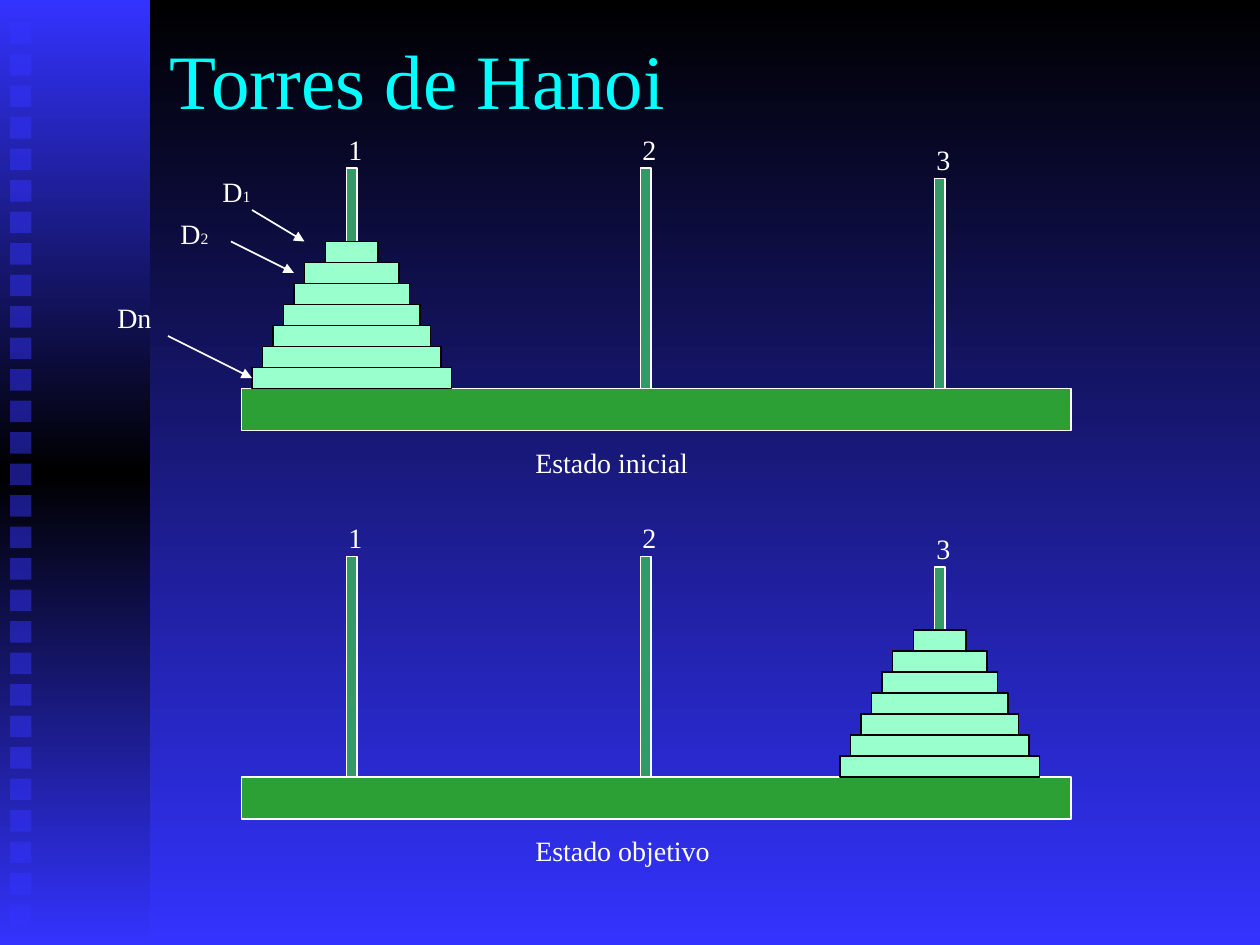
from copy import deepcopy

from lxml import etree
from pptx import Presentation
from pptx.dml.color import RGBColor
from pptx.enum.shapes import MSO_CONNECTOR, MSO_SHAPE
from pptx.enum.text import MSO_ANCHOR
from pptx.oxml.ns import qn
from pptx.util import Inches, Pt

RECTANGLE = MSO_SHAPE.RECTANGLE
STRAIGHT = MSO_CONNECTOR.STRAIGHT
MIDDLE = MSO_ANCHOR.MIDDLE

FONT = "Times New Roman"
COLORS = {
    "black": "000000",
    "blue": "3333FF",
    "title": "00FFFF",
    "white": "FFFFFF",
    "base": "2CA034",
    "peg": "339966",
    "disc": "99FFCC",
}

TITLE = "Torres de Hanoi"
STATES = [
    {"caption": "Estado inicial", "caption_width": 1.42, "base_top": 37, "tower": 0},
    {"caption": "Estado objetivo", "caption_width": 1.59, "base_top": 74, "tower": 2},
]
# Positions below are in grid units of one twelfth of an inch.
PEGS = [("1", 33, 21), ("2", 61, 21), ("3", 89, 20)]
DISC_WIDTHS = [19, 17, 15, 13, 11, 9, 5]
DISC_HEIGHT = 2
BASE_LEFT, BASE_WIDTH, BASE_HEIGHT = 23, 79, 4
DISC_LABELS = [
    (("D", "1"), (20, 16), (24, 20), (29, 23)),
    (("D", "2"), (16, 20), (22, 23), (28, 26)),
    (("Dn",), (10, 28), (16, 32), (24, 36)),
]
SQUARE_COUNT, SQUARE_STEP = 29, 0.25


def grid(units):
    return units / 12


def color(name):
    return RGBColor.from_string(COLORS[name])


def fill_gradient(fill, names):
    fill.gradient_angle = 270
    for index, (stop, name) in enumerate(zip(fill.gradient_stops, names)):
        stop.position = index / (len(names) - 1)
        stop.color.rgb = color(name)


def add_rectangle(slide, left, top, width, height, fill=None, line=None):
    shape = slide.shapes.add_shape(
        RECTANGLE, Inches(left), Inches(top), Inches(width), Inches(height))
    shape.shadow.inherit = False
    if fill:
        shape.fill.solid()
        shape.fill.fore_color.rgb = color(fill)
    if line:
        shape.line.color.rgb = color(line)
        shape.line.width = Pt(1)
    else:
        shape.line.fill.background()
    return shape


def add_text(slide, parts, left, top, width, height=0.37, sizes=(16, 9),
             name="white", wrap=False):
    box = slide.shapes.add_textbox(
        Inches(left), Inches(top), Inches(width), Inches(height))
    box.text_frame.word_wrap = wrap
    paragraph = box.text_frame.paragraphs[0]
    for part, size in zip(parts, sizes):
        run = paragraph.add_run()
        run.text = part
        run.font.name = FONT
        run.font.size = Pt(size)
        run.font.color.rgb = color(name)
    return box


def add_arrow(slide, start, end):
    points = [Inches(grid(units)) for units in start + end]
    arrow = slide.shapes.add_connector(STRAIGHT, *points)
    arrow.line.color.rgb = color("white")
    arrow.line.width = Pt(1)
    etree.SubElement(arrow.line._get_or_add_ln(), qn("a:tailEnd"), type="triangle")
    etree.SubElement(arrow._element.spPr, qn("a:effectLst"))
    return arrow


def add_sidebar(slide):
    sidebar = add_rectangle(slide, 0, 0, 1.19, 7.5)
    sidebar.fill.gradient()
    stops = sidebar._element.spPr.find(".//" + qn("a:gsLst"))
    stops.append(deepcopy(stops[0]))
    fill_gradient(sidebar.fill, ["blue", "black", "blue"])
    for index in range(SQUARE_COUNT):
        square = add_rectangle(
            slide, 0.08, 0.18 + index * SQUARE_STEP, 0.17, 0.17, "blue")
        square_color = square._element.spPr.find(".//" + qn("a:srgbClr"))
        etree.SubElement(square_color, qn("a:alpha"), val="50000")


def add_state(slide, state):
    base_top = state["base_top"]
    add_rectangle(slide, grid(BASE_LEFT), grid(base_top), grid(BASE_WIDTH),
                  grid(BASE_HEIGHT), "base", "white")
    add_text(slide, [state["caption"]], 4.15, grid(base_top) + 0.4,
             state["caption_width"])
    for label, left, height in PEGS:
        top = base_top - height
        add_rectangle(slide, grid(left), grid(top), grid(1), grid(height),
                      "peg", "white")
        add_text(slide, [label], grid(left - 1), grid(top - 4), 0.31)
    center = PEGS[state["tower"]][1] + 0.5
    return [
        add_rectangle(slide, grid(center - width / 2),
                      grid(base_top - DISC_HEIGHT * level),
                      grid(width), grid(DISC_HEIGHT), "disc", "black")
        for level, width in enumerate(DISC_WIDTHS, start=1)
    ]


def main():
    presentation = Presentation()
    presentation.slide_width = Inches(10)
    presentation.slide_height = Inches(7.5)
    slide = presentation.slides.add_slide(presentation.slide_layouts[6])
    slide.background.fill.gradient()
    fill_gradient(slide.background.fill, ["black", "blue"])

    add_sidebar(slide)
    title = add_text(slide, [TITLE], 1.25, 0, 8.5, 1.25, (44,), "title", True)
    title.text_frame.vertical_anchor = MIDDLE

    initial_discs, _ = [add_state(slide, state) for state in STATES]
    for parts, (left, top), start, end in DISC_LABELS:
        add_text(slide, parts, grid(left), grid(top), 0.83, wrap=True)
        arrow = add_arrow(slide, start, end)
    arrow.end_connect(initial_discs[0], 1)

    presentation.save("out.pptx")


if __name__ == "__main__":
    main()
